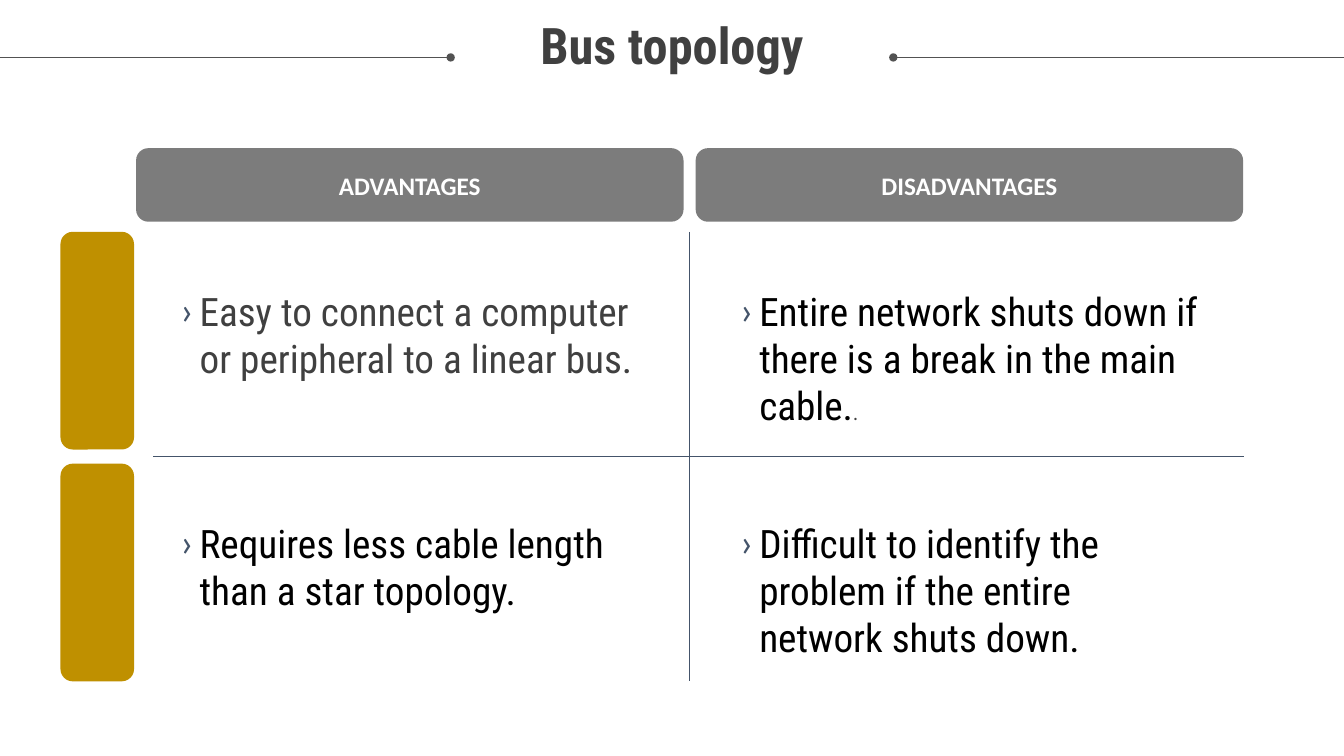
from typing import NamedTuple

from lxml.etree import SubElement
from pptx import Presentation
from pptx.dml.color import RGBColor
from pptx.enum.shapes import MSO_CONNECTOR, MSO_SHAPE
from pptx.enum.text import MSO_ANCHOR, PP_ALIGN
from pptx.oxml.ns import qn
from pptx.util import Inches, Pt

COLORS = {
    "title": "404040",
    "rule": "525252",
    "header": "7C7C7C",
    "bar": "BF9000",
    "accent": "44546A",
    "black": "000000",
    "white": "FFFFFF",
}
HEAD_FONT, BODY_FONT = "Roboto Condensed", "Calibri"
COLUMN_STEP, ROW_TOP, ROW_STEP = 5.55, 2.3, 2.3


class Rule(NamedTuple):
    x1: float
    y1: float
    x2: float
    y2: float
    color: str
    dot: str = ""


class Run(NamedTuple):
    text: str
    size: int = 28
    color: str = "black"
    font: str = HEAD_FONT
    bold: bool = False


class Point(NamedTuple):
    column: int
    row: int
    runs: list[Run]


RULES = [
    Rule(0, 0.57, 4.47, 0.57, "rule", "tailEnd"),
    Rule(8.86, 0.57, 13.33, 0.57, "rule", "headEnd"),
    Rule(1.52, 4.53, 12.34, 4.53, "accent"),
    Rule(6.84, 2.3, 6.84, 6.76, "accent"),
]
HEADERS = ["ADVANTAGES", "DISADVANTAGES"]
POINTS = [
    Point(0, 0, [Run("Easy to connect a computer or peripheral to a linear bus.", color="title")]),
    Point(1, 0, [Run("Entire network shuts down if there is a break in the main cable."),
                 Run(".", 14, "title", BODY_FONT)]),
    Point(0, 1, [Run("Requires less cable length than a star topology.")]),
    Point(1, 1, [Run("Difficult to identify the problem if the entire network shuts down.")]),
]


def rgb(name: str) -> RGBColor:
    return RGBColor.from_string(COLORS[name])


def add_runs(p, runs: list[Run]) -> None:
    for run in runs:
        r = p.add_run()
        r.text = run.text
        r.font.size = Pt(run.size)
        r.font.name = run.font
        r.font.bold = run.bold
        r.font.color.rgb = rgb(run.color)


def add_rule(s, rule: Rule) -> None:
    """Draw a thin line, with a round dot at one end if asked."""
    ends = [Inches(v) for v in (rule.x1, rule.y1, rule.x2, rule.y2)]
    line = s.shapes.add_connector(MSO_CONNECTOR.STRAIGHT, *ends)
    line.line.color.rgb = rgb(rule.color)
    line.line.width = Pt(0.5)
    if rule.dot:
        SubElement(line.line._get_or_add_ln(), qn("a:" + rule.dot), type="oval")
    SubElement(line._element.spPr, qn("a:effectLst"))


def add_block(s, x: float, y: float, w: float, h: float, color: str):
    sp = s.shapes.add_shape(MSO_SHAPE.ROUNDED_RECTANGLE, Inches(x), Inches(y), Inches(w), Inches(h))
    sp.shadow.inherit = False
    sp.fill.solid()
    sp.fill.fore_color.rgb = rgb(color)
    sp.line.fill.background()
    return sp


def add_text(s, x: float, y: float, w: float, h: float):
    """Add a wrapping box without margins and return its first paragraph."""
    tf = s.shapes.add_textbox(Inches(x), Inches(y), Inches(w), Inches(h)).text_frame
    tf.word_wrap = True
    tf.margin_left = tf.margin_top = tf.margin_right = tf.margin_bottom = 0
    return tf.paragraphs[0]


def add_bullet(p) -> None:
    pPr = p._p.get_or_add_pPr()
    pPr.set("marL", str(Inches(0.19)))
    pPr.set("indent", str(-Inches(0.19)))
    SubElement(SubElement(pPr, qn("a:buClr")), qn("a:srgbClr"), val=COLORS["accent"])
    SubElement(pPr, qn("a:buFont"), typeface=BODY_FONT)
    SubElement(pPr, qn("a:buChar"), char="›")


def main() -> None:
    prs = Presentation()
    prs.slide_width, prs.slide_height = Inches(13.33), Inches(7.5)
    s = prs.slides.add_slide(prs.slide_layouts[6])

    p = add_text(s, 0.25, 0.21, 12.83, 0.85)
    p.alignment = PP_ALIGN.CENTER
    p.line_spacing = 0.9
    add_runs(p, [Run("Bus topology", 36, "title", bold=True)])

    for column, label in enumerate(HEADERS):
        tf = add_block(s, 1.35 + column * COLUMN_STEP, 1.47, 5.43, 0.73, "header").text_frame
        tf.vertical_anchor = MSO_ANCHOR.MIDDLE
        p = tf.paragraphs[0]
        p.alignment = PP_ALIGN.CENTER
        add_runs(p, [Run(label, 18, "white", BODY_FONT, True)])

    for row in range(2):
        add_block(s, 0.6, ROW_TOP + row * ROW_STEP, 0.73, 2.16, "bar")

    for rule in RULES:
        add_rule(s, rule)

    for point in POINTS:
        x = 1.79 + point.column * COLUMN_STEP
        y = ROW_TOP + 0.55 + point.row * ROW_STEP
        p = add_text(s, x, y, 4.55, 1.41)
        add_bullet(p)
        add_runs(p, point.runs)

    prs.save("out.pptx")


if __name__ == "__main__":
    main()
